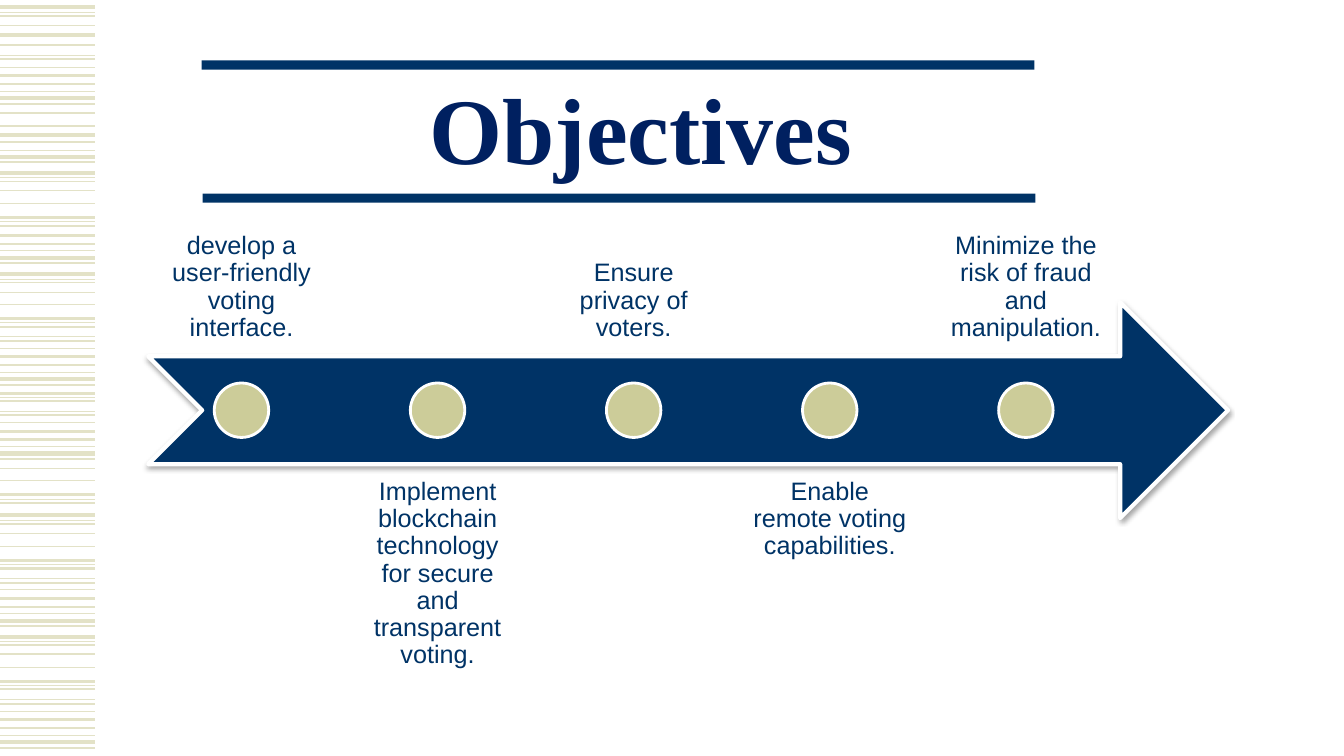
from lxml.etree import SubElement
from pptx import Presentation
from pptx.dml.color import RGBColor
from pptx.enum.shapes import MSO_CONNECTOR, MSO_SHAPE
from pptx.enum.text import MSO_ANCHOR, PP_ALIGN
from pptx.oxml.ns import qn
from pptx.util import Inches, Pt


def tint(part, code):
    if hasattr(part, "solid"):
        part.solid()
        part.fore_color.rgb = RGBColor.from_string(code)
    else:
        part.color.rgb = RGBColor.from_string(code)


def draw(kind, left, top, width, height, fill, edge=0):
    shape = slide.shapes.add_shape(
        kind, Inches(left), Inches(top), Inches(width), Inches(height))
    shape.shadow.inherit = False
    tint(shape.fill, fill)
    if edge:
        tint(shape.line, "FFFFFF")
        shape.line.width = Pt(edge)
    else:
        shape.line.fill.background()
    return shape


NAVY, SAND, STRIPE = "003366", "CCCC99", "E3E2C7"

deck = Presentation()
deck.slide_width, deck.slide_height = Inches(13.33), Inches(7.5)
slide = deck.slides.add_slide(deck.slide_layouts[5])

stripes = {
    3: [0.07, 0.35, 0.97, 1.56, 1.72, 2.56, 2.72, 3.76, 4.5, 5.11, 6.16,
        6.32, 7.36],
    2.25: [0.75, 1.34, 2.16, 2.34, 3.16, 3.54, 3.9, 4.28, 4.91, 5.56, 5.94,
           6.76, 7.14],
    1.5: [0.45, 0.59, 0.83, 1.03, 1.41, 1.61, 2.24, 2.42, 2.61, 3.24, 3.38,
          3.62, 3.82, 3.98, 4.12, 4.36, 4.55, 4.99, 5.64, 5.78, 6.02, 6.21,
          6.84, 6.98, 7.22, 7.42],
    1: [0.16, 0.25, 0.67, 1.12, 1.25, 1.8, 1.89, 2.02, 2.8, 2.9, 3.02, 3.46,
        4.19, 4.65, 4.77, 5.2, 5.29, 5.42, 5.85, 6.4, 6.49, 6.62, 7.06],
    0.75: [0.12, 0.55, 0.91, 1.49, 1.76, 2.2, 2.49, 2.77, 3.2, 3.34, 3.7,
           3.94, 4.08, 4.43, 4.96, 5.16, 5.6, 5.74, 6.09, 6.36, 6.8, 6.94,
           7.3],
}
for weight, rows in stripes.items():
    for y in rows:
        line = slide.shapes.add_connector(
            MSO_CONNECTOR.STRAIGHT, 0, Inches(y), Inches(0.94), Inches(y))
        tint(line.line, STRIPE)
        line.line.width = Pt(weight)
        SubElement(line._element.spPr, qn("a:effectLst"))

for left, top in [(2, 0.6), (2.01, 1.92)]:
    draw(MSO_SHAPE.RECTANGLE, left, top, 8.26, 0.09, NAVY)

title = slide.shapes.title
title.left, title.top = Inches(1.47), Inches(0.75)
title.width, title.height = Inches(9.77), Inches(1.73)
frame = title.text_frame
frame.text = "Objectives"
frame.vertical_anchor = MSO_ANCHOR.TOP
frame.margin_top = Inches(0.12)
head = frame.paragraphs[0]
head.alignment = PP_ALIGN.CENTER
head.line_spacing = 0.85
head.font.name, head.font.size, head.font.bold = "Times New Roman", Pt(67), True
tint(head.font.fill, "002060")

arrow = draw(MSO_SHAPE.NOTCHED_RIGHT_ARROW, 1.47, 3, 10.71, 2.14, NAVY, 3)
glow = SubElement(
    arrow._element.spPr.find(qn("a:effectLst")), qn("a:outerShdw"),
    blurRad=str(Pt(3)), dist=str(Pt(1.8)), dir="5400000", rotWithShape="0")
black = SubElement(glow, qn("a:srgbClr"), val="000000")
SubElement(black, qn("a:alpha"), val="35000")

goals = [
    "develop a user-friendly voting interface.",
    "Implement blockchain technology for secure and transparent voting.",
    "Ensure privacy of voters.",
    "Enable remote voting capabilities.",
    "Minimize the risk of fraud and manipulation.",
]
step, wide, dot = 1.945, 1.85, 0.54
for i, goal in enumerate(goals):
    left = 1.47 + i * step
    below = i % 2
    box = slide.shapes.add_textbox(
        Inches(left), Inches(4.61 if below else 1.39), Inches(wide), Inches(2.14))
    frame = box.text_frame
    frame.word_wrap = True
    frame.margin_left = frame.margin_right = Inches(0.14)
    frame.margin_top = frame.margin_bottom = Inches(0.14)
    frame.vertical_anchor = MSO_ANCHOR.TOP if below else MSO_ANCHOR.BOTTOM
    frame.text = goal
    text = frame.paragraphs[0]
    text.alignment = PP_ALIGN.CENTER
    text.line_spacing = 0.9
    text.font.name, text.font.size = "Arial", Pt(18)
    tint(text.font.fill, NAVY)
    draw(MSO_SHAPE.OVAL, left + (wide - dot) / 2, 3.8, dot, dot, SAND, 2)

deck.save("out.pptx")
